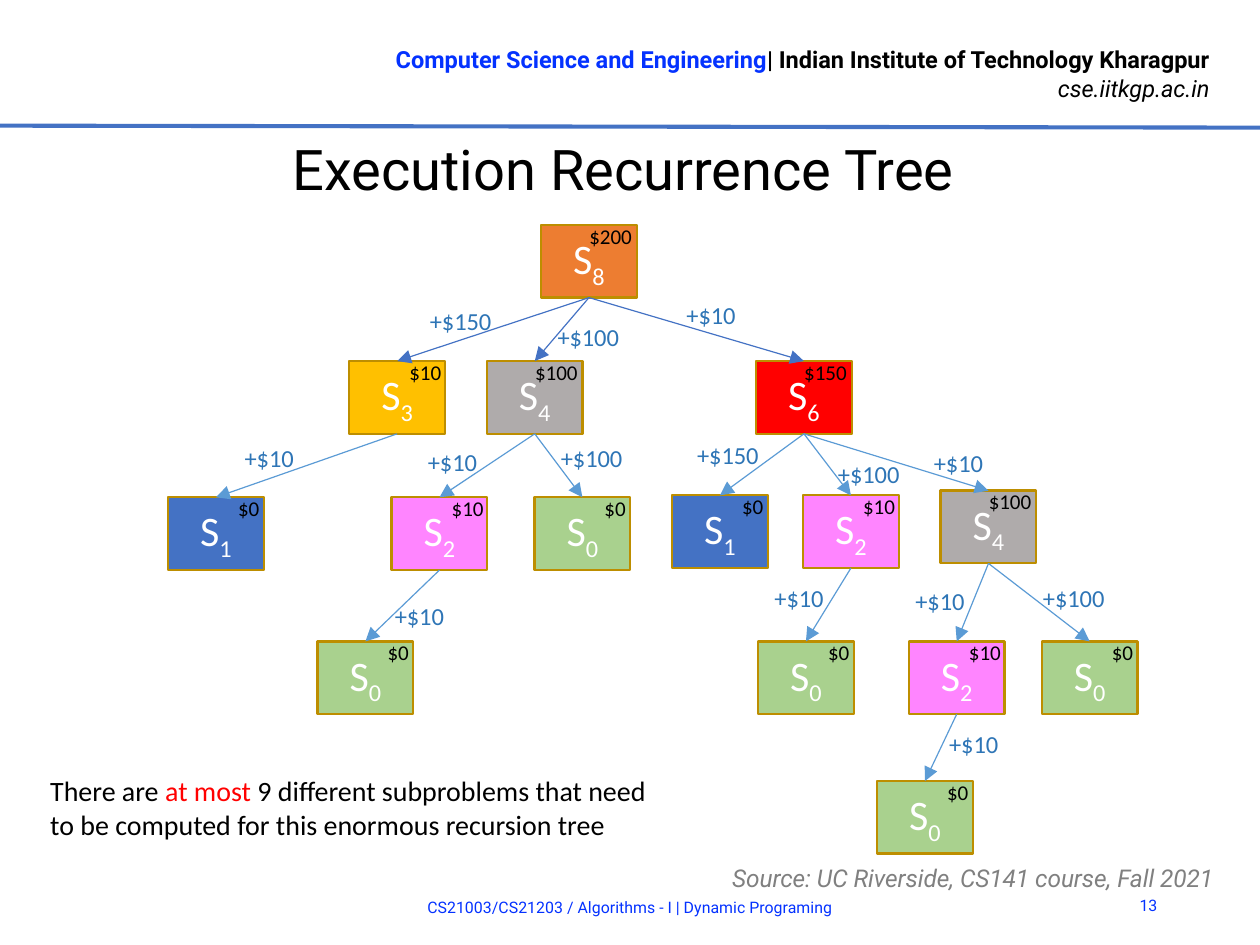
from lxml import etree
from pptx import Presentation
from pptx.dml.color import RGBColor
from pptx.enum.shapes import MSO_CONNECTOR, MSO_SHAPE
from pptx.enum.text import MSO_ANCHOR, PP_ALIGN
from pptx.oxml.ns import qn
from pptx.util import Cm, Pt

LINE = MSO_CONNECTOR.STRAIGHT
RECT = MSO_SHAPE.RECTANGLE
TOP, MID = MSO_ANCHOR.TOP, MSO_ANCHOR.MIDDLE
LEFT, CENTER, RIGHT = PP_ALIGN.LEFT, PP_ALIGN.CENTER, PP_ALIGN.RIGHT

BLACK = RGBColor(0x00, 0x00, 0x00)
WHITE = RGBColor(0xFF, 0xFF, 0xFF)
RED = RGBColor(0xFF, 0x00, 0x00)
GRAY = RGBColor(0x80, 0x80, 0x80)
BLUE = RGBColor(0x04, 0x32, 0xFF)
NAVY = RGBColor(0x44, 0x72, 0xC4)
SKY = RGBColor(0x5B, 0x9B, 0xD5)
STEEL = RGBColor(0x2E, 0x75, 0xB6)
GOLD = RGBColor(0xBD, 0x8E, 0x00)

# Box fill for each subproblem
FILLS = {
    0: RGBColor(0xA9, 0xD1, 0x8E),
    1: NAVY,
    2: RGBColor(0xFF, 0x85, 0xFF),
    3: RGBColor(0xFF, 0xC0, 0x00),
    4: RGBColor(0xAF, 0xAB, 0xAB),
    6: RED,
    8: RGBColor(0xED, 0x7D, 0x31),
}

# Text formats
HEAD = {"name": "Roboto", "size": Pt(10.1), "bold": True}
SITE = {"name": "Roboto", "size": Pt(10.1), "italic": True}
TITLE = {"name": "Roboto", "size": Pt(24)}
FOOT = {"name": "Roboto", "size": Pt(6.8)}
CREDIT = {"name": "Roboto", "size": Pt(10.5), "italic": True}
NODE = {"name": "Calibri", "size": Pt(18)}
COST = {"name": "Calibri", "size": Pt(9)}
STEP = {"name": "Calibri", "size": Pt(10.5)}
NOTE = {"name": "Calibri", "size": Pt(12)}

# Tree: subproblem, left, top, cost, parent row, step label, label left, label top
TREE = [
    (8, 8.18, 3.40, "$200", None, "", 0, 0),
    (3, 5.28, 5.46, "$10", 0, "+$150", 6.25, 4.50),
    (4, 7.36, 5.46, "$100", 0, "+$100", 8.18, 4.75),
    (6, 11.43, 5.46, "$150", 0, "+$10", 10.13, 4.42),
    (1, 2.54, 7.52, "$0", 1, "+$10", 3.45, 6.58),
    (2, 5.92, 7.52, "$10", 2, "+$10", 6.22, 6.63),
    (0, 8.08, 7.52, "$0", 2, "+$100", 8.23, 6.58),
    (1, 10.16, 7.49, "$0", 3, "+$150", 10.29, 6.53),
    (2, 12.14, 7.49, "$10", 3, "+$100", 12.42, 6.81),
    (4, 14.22, 7.42, "$100", 3, "+$10", 13.87, 6.65),
    (0, 4.80, 9.70, "$0", 5, "+$10", 5.72, 8.97),
    (0, 11.46, 9.70, "$0", 8, "+$10", 11.46, 8.69),
    (2, 13.74, 9.70, "$10", 9, "+$10", 13.59, 8.74),
    (0, 15.75, 9.70, "$0", 9, "+$100", 15.52, 8.69),
    (0, 13.26, 11.81, "$0", 12, "+$10", 14.10, 10.90),
]
# Cost label: shift from the box's left edge, by text length
SHIFT = {2: 0.81, 3: 0.66, 4: 0.48}


def write(para, parts, align=LEFT):
    para.alignment = align
    for text, form, color in parts:
        run = para.add_run()
        run.text = text
        for key, value in form.items():
            setattr(run.font, key, value)
        run.font.color.rgb = color


def add_text(left, top, width, height, parts, align=LEFT, anchor=TOP):
    box = slide.shapes.add_textbox(Cm(left), Cm(top), Cm(width), Cm(height))
    frame = box.text_frame
    frame.word_wrap = True
    frame.vertical_anchor = anchor
    write(frame.paragraphs[0], parts, align)
    return frame


deck = Presentation()
deck.slide_width, deck.slide_height = Cm(19.05), Cm(14.29)
slide = deck.slides.add_slide(deck.slide_layouts[5])

# Header and rule
head = add_text(4.85, 0.56, 13.69, 1.12, [
    ("Computer Science and Engineering", HEAD, BLUE),
    ("| Indian Institute of Technology Kharagpur", HEAD, BLACK),
], RIGHT)
write(head.add_paragraph(), [("cse.iitkgp.ac.in", SITE, BLACK)], RIGHT)
rule = slide.shapes.add_connector(LINE, Cm(0), Cm(1.9), Cm(19.05), Cm(1.93))
rule.line.color.rgb = NAVY
rule.line.width = Pt(1.75)
etree.SubElement(rule._element.spPr, qn("a:effectLst"))

# Title
title = slide.shapes.title
title.left, title.top, title.width, title.height = Cm(0.61), Cm(2.01), Cm(17.63), Cm(1.04)
frame = title.text_frame
frame.margin_left = frame.margin_right = frame.margin_bottom = 0
frame.margin_top = Cm(0.03)
frame.vertical_anchor = MID
write(frame.paragraphs[0], [("Execution Recurrence Tree", TITLE, BLACK)], CENTER)

# Tree boxes
boxes = []
for num, left, top, *rest in TREE:
    box = slide.shapes.add_shape(RECT, Cm(left), Cm(top), Cm(1.45), Cm(1.1))
    box.shadow.inherit = False
    box.fill.solid()
    box.fill.fore_color.rgb = FILLS[num]
    box.line.color.rgb = GOLD
    box.line.width = Pt(1)
    box.text_frame.vertical_anchor = MID
    para = box.text_frame.paragraphs[0]
    write(para, [("S", NODE, WHITE), (str(num), NODE, WHITE)], CENTER)
    para.runs[1]._r.get_or_add_rPr().set("baseline", "-25000")
    boxes.append(box)

# Costs, arrows and step labels
for box, row in zip(boxes, TREE):
    num, left, top, cost, parent, step, x, y = row
    add_text(left + SHIFT[len(cost)], top - 0.15, 1.35, 0.64, [(cost, COST, BLACK)])
    if parent is None:
        continue
    arrow = slide.shapes.add_connector(LINE, 0, 0, 0, 0)
    arrow.begin_connect(boxes[parent], 2)
    arrow.end_connect(box, 0)
    arrow.line.color.rgb = NAVY if parent == 0 else SKY
    arrow.line.width = Pt(0.5)
    etree.SubElement(arrow.line._get_or_add_ln(), qn("a:tailEnd"), type="triangle")
    etree.SubElement(arrow._element.spPr, qn("a:effectLst"))
    add_text(x, y, 1.5, 0.71, [(step, STEP, STEEL)])

# Remark and source
add_text(0.51, 11.58, 9.63, 1.27, [
    ("There are ", NOTE, BLACK),
    ("at most", NOTE, RED),
    (" 9 different subproblems that need to be computed for this enormous recursion tree",
     NOTE, BLACK),
])
credit = add_text(10.82, 12.93, 8.08, 0.51, [
    ("Source: UC Riverside, CS141 course, Fall 2021", CREDIT, GRAY),
], anchor=MID)
credit.paragraphs[0].line_spacing = Pt(18)

# Footer
add_text(3.15, 13.34, 12.75, 0.76, [
    ("CS21003/CS21203 / Algorithms - I | Dynamic Programing", FOOT, BLUE),
], CENTER, MID)
add_text(16.81, 13.31, 0.94, 0.76, [("13", FOOT, BLUE)], RIGHT, MID)

deck.save("out.pptx")
